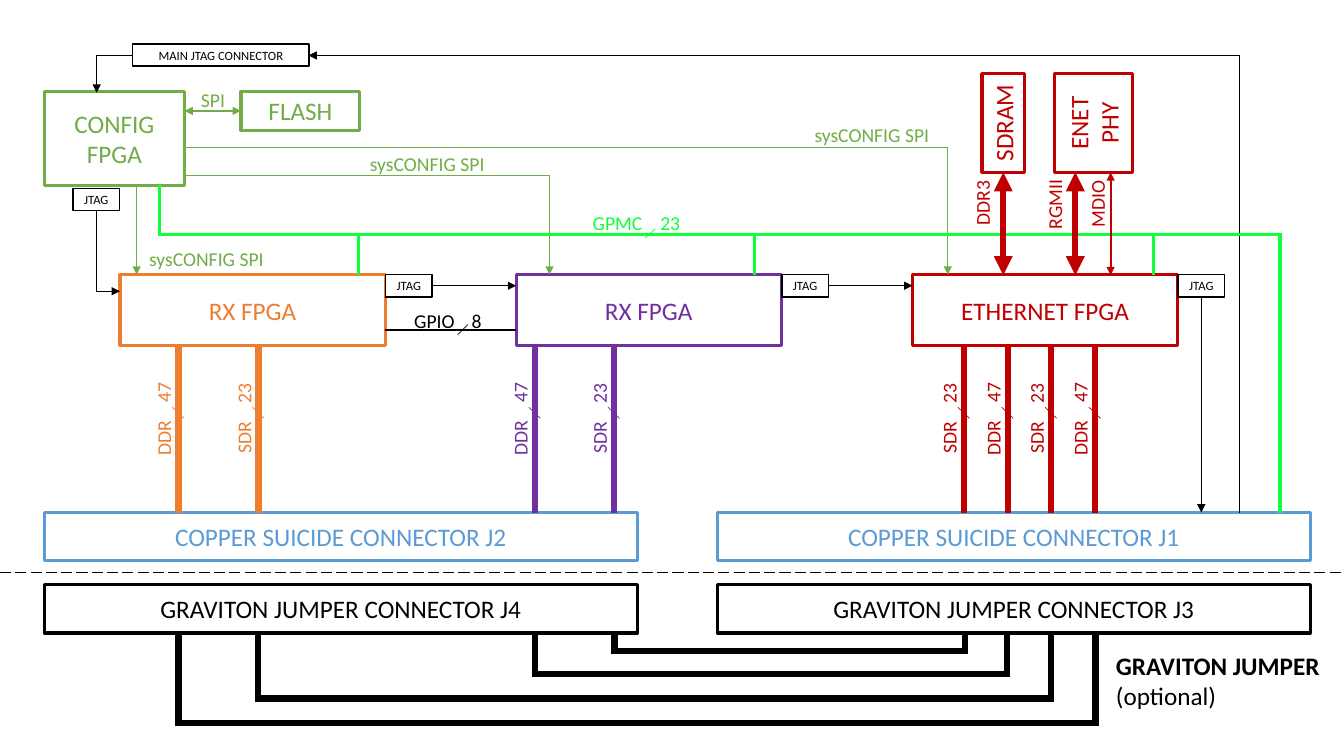
from lxml import etree
from pptx import Presentation
from pptx import util as u
from pptx.dml.color import RGBColor
from pptx.enum import dml, shapes, text
from pptx.oxml.ns import qn

BLACK = RGBColor(0, 0, 0)
WHITE = RGBColor(255, 255, 255)
BLUE = RGBColor(0x5B, 0x9B, 0xD5)
GREEN = RGBColor(0x70, 0xAD, 0x47)
LIME = RGBColor(0x11, 0xFF, 0x39)
AMBER = RGBColor(0xED, 0x7D, 0x31)
PLUM = RGBColor(0x70, 0x30, 0xA0)
RED = RGBColor(0xC0, 0, 0)

deck = Presentation()
deck.slide_width, deck.slide_height = u.Inches(13.33), u.Inches(7.5)
slide = deck.slides.add_slide(deck.slide_layouts[6])
CELL = deck.slide_height // 75


def write(words, x, y, w, h, color, size=14, edge=0, turn=0, tab=0):
    place = [round(n * CELL) for n in (x, y, w, h)]
    if edge:
        item = slide.shapes.add_shape(shapes.MSO_SHAPE.RECTANGLE, *place)
        item.shadow.inherit = False
        item.fill.solid()
        item.fill.fore_color.rgb = WHITE
        item.line.color.rgb = color
        item.line.width = u.Pt(edge)
    else:
        item = slide.shapes.add_textbox(*place)
    item.rotation = turn
    frame = item.text_frame
    frame.word_wrap = True
    frame.margin_right = 0
    if edge:
        frame.margin_left = frame.margin_top = frame.margin_bottom = 0
        frame.vertical_anchor = text.MSO_ANCHOR.MIDDLE
    frame.text = words
    for para in frame.paragraphs:
        para.alignment = text.PP_ALIGN.CENTER if edge else text.PP_ALIGN.LEFT
        if tab:
            stops = etree.SubElement(para._p.get_or_add_pPr(), qn("a:tabLst"))
            etree.SubElement(stops, qn("a:tab"), pos=str(round(tab * CELL)), algn="l")
        for run in para.runs:
            run.font.name = "Calibri"
            run.font.size = u.Pt(size)
            run.font.color.rgb = color
    return frame


def wire(*ways, color=BLACK, width=1, ends=(), dash=None, bend=False):
    kind = shapes.MSO_CONNECTOR.ELBOW if bend else shapes.MSO_CONNECTOR.STRAIGHT
    link = slide.shapes.add_connector(kind, *[round(n * CELL) for n in ways])
    link.line.color.rgb = color
    link.line.width = u.Pt(width)
    if dash:
        link.line.dash_style = dash
    frame = link._element.spPr
    if bend:
        frame.find(qn("a:prstGeom")).set("prst", "bentConnector2")
    line = link.line._get_or_add_ln()
    if bend:
        etree.SubElement(line, qn("a:miter"), lim="800000")
    for end in ends:
        etree.SubElement(line, qn("a:" + end), type="triangle")
    etree.SubElement(frame, qn("a:effectLst"))


HEAD = ["headEnd"]
TAIL = ["tailEnd"]
BOTH = HEAD + TAIL
TOP, BASE, DOCK, FOOT = 27.25, 34.2, 50.85, 62.8

for words, col, color in [("RX FPGA", 11.9, AMBER), ("RX FPGA", 51.2, PLUM),
                          ("ETHERNET FPGA", 90.5, RED)]:
    write(words, col, TOP, 26.3, 7, color, size=18, edge=2.25)
    write("JTAG", col + 26.35, TOP, 4.6, 2.2, BLACK, size=9, edge=1)

write("CONFIG\nFPGA", 4.4, 9.05, 13.9, 9.4, GREEN, size=18, edge=2.25)
write("FLASH", 23.9, 9.05, 11.8, 3.9, GREEN, size=18, edge=2.25)
write("SDRAM", 94.6, 10.1, 9.8, 4.2, RED, size=18, edge=2.25, turn=270)
write("ENET\nPHY", 103.55, 8.35, 9.8, 7.7, RED, size=18, edge=2.25, turn=270)
write("JTAG", 7.25, 18.7, 4.6, 2.2, BLACK, size=9, edge=1)
write("MAIN JTAG CONNECTOR", 13.15, 4.35, 17.5, 2.2, BLACK, size=9, edge=1)

for col, upper, lower in [(4.4, "J2", "J4"), (71.15, "J1", "J3")]:
    write("COPPER SUICIDE CONNECTOR " + upper, col, DOCK, 58.8, 4.8, BLUE,
          size=18, edge=2.25)
    write("GRAVITON JUMPER CONNECTOR " + lower, col, 58, 58.8, 4.8, BLACK,
          size=18, edge=2.25)

wire(11.9, 28.9, 9.6, 20.9, ends=HEAD, bend=True)
wire(13.2, 5.5, 9.6, 9.2, ends=TAIL, bend=True)
wire(30.6, 5.5, 122.95, DOCK, ends=HEAD, bend=True)
wire(119.15, 29.5, 119.15, DOCK, ends=TAIL)
for col in (42.9, 82.2):
    wire(col, 28.35, col + 8.3, 28.35, ends=TAIL)

wire(18.3, 11, 23.9, 11, color=GREEN, ends=BOTH)
wire(13.55, 18.6, 13.55, TOP, color=GREEN, ends=TAIL)
for row, col in [(17.4, 54.5), (14.65, 94)]:
    wire(18.2, row, col, TOP, color=GREEN, ends=TAIL, bend=True)
write("SPI", 18.95, 8.25, 4.4, 3.4, GREEN)
for col, row in [(79.8, 11.7), (35.7, 14.6), (13.8, 24)]:
    write("sysCONFIG SPI", col, row, 13.5, 3.4, GREEN)

BUS = 23.25
wire(35.55, BUS, 15.8, 18.4, color=LIME, width=2.25, bend=True)
wire(35.55, BUS, 35.55, TOP, color=LIME, width=2.25)
for left, right, end in [(35.55, 74.85, TOP), (74.85, 114.4, TOP),
                         (114.4, 126.95, DOCK)]:
    wire(left, BUS, right, end, color=LIME, width=2.25, bend=True)
write("GPMC\t23", 57.8, 20.4, 10.8, 3.4, LIME, tab=6.7)
wire(64, 23.6, 65, 22.7, color=LIME, width=0.5)

wire(38.2, 32.7, 51.2, 32.7, width=1.5)
write("GPIO\t8", 40.1, 30.2, 8.8, 3.4, BLACK, tab=5.7)
wire(45.4, 33.2, 46.4, 32.2, width=0.5)

for words, col, width, left, row, span in [("DDR3", 99.5, 4.5, 94.2, 18.4, 6.5),
                                           ("RGMII", 106.65, 4.5, 101.1, 18.5, 7),
                                           ("MDIO", 110.15, 1.5, 105.5, 18.5, 6.7)]:
    wire(col, 17.1, col, 27.3, color=RED, width=width, ends=BOTH)
    write(words, left, row, span, 3.4, RED, turn=270)

for col, kind, color in [(17.7, "DDR", AMBER), (25.65, "SDR", AMBER),
                         (53.05, "DDR", PLUM), (60.9, "SDR", PLUM),
                         (95.6, "SDR", RED), (99.95, "DDR", RED),
                         (104.25, "SDR", RED), (108.6, "DDR", RED)]:
    count, span, tab = ("47", 9.3, 5.3) if kind == "DDR" else ("23", 8.9, 4.95)
    wire(col, BASE, col, DOCK, color=color, width=4.5)
    write(kind + "\t" + count, col - 1.45 - span / 2, 39.85, span, 3.4, color,
          turn=270, tab=tab)
    wire(col + 0.55, 41.5, col - 0.6, 40.4, color=color, width=0.5)

wire(0, 56.8, 133.3, 56.8, dash=dml.MSO_LINE.LONG_DASH)

for left, right, row in [(60.95, 95.7, 64.6), (53.05, 99.9, 66.85),
                         (25.6, 104.25, 69.3), (17.7, 108.65, 71.75)]:
    for end in (left, right):
        wire((left + right) / 2, row, end, FOOT, color=BLACK, width=4.5, bend=True)

note = write("GRAVITON JUMPER\n(optional)", 109.7, 64, 22.6, 7.1, BLACK, size=18)
note.paragraphs[0].runs[0].font.bold = True

deck.save("out.pptx")
